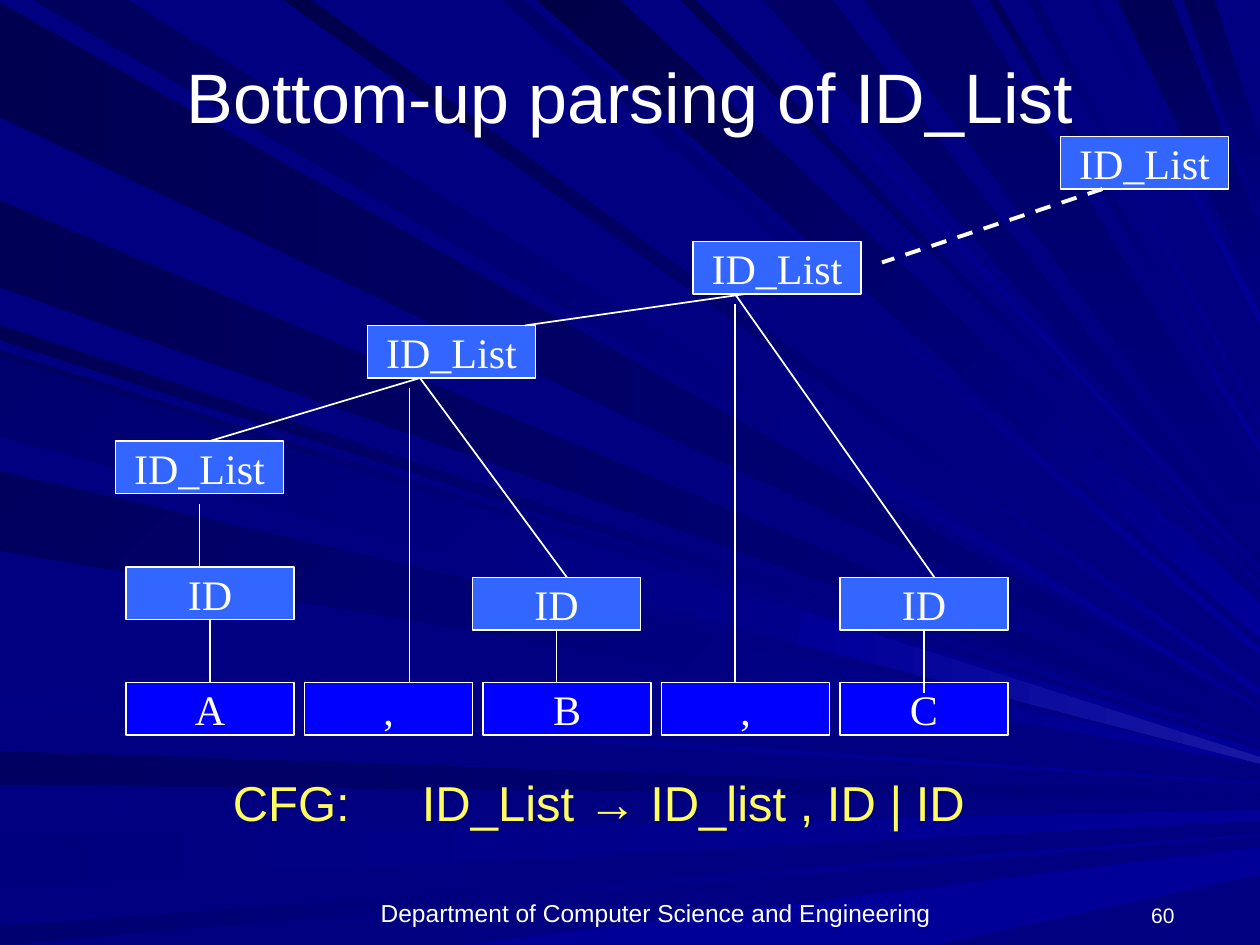
from lxml.etree import SubElement
from pptx import Presentation
from pptx.dml.color import RGBColor
from pptx.enum.dml import MSO_LINE
from pptx.enum.shapes import MSO_CONNECTOR, MSO_SHAPE
from pptx.enum.text import MSO_ANCHOR, PP_ALIGN
from pptx.oxml.ns import qn
from pptx.util import Inches, Pt

COLORS = {"ground": "000080", "bright": "000099", "glow": "1717A2", "node": "3366FF",
          "token": "0000FF", "ink": "FFFFFF", "rule": "FFFD5D"}
WIDTH, HEIGHT = 1000, 750
HUNDREDTH = Inches(1) // 100
CELL = Inches(1) // 12
NODE_W, NODE_H, TOKEN_STEP = 16, 5, 17
FIRST_TOKEN, TOKEN_ROW = 12, 65

BEAMS = [
    ("left", "000051", "ground", 2, 93, 569),
    ("top", "00005D", "bright", 26, 101, 562),
    ("left", "000061", "ground", 596, 623, 631),
    ("left", "00007D", "bright", 665, 704, 643, 8),
    ("left", "00006F", "bright", 735, 750, 662),
    ("bottom", "000099", "bright", 364, 742, 672, 22),
    ("left", "000053", "bright", 258, 270, 589),
    ("left", "000055", "ground", 159, 228, 584),
    ("top", "00006B", "bright", 398, 416, 515, 6),
    ("top", "000047", "bright", 426, 492, 479, 28),
    ("top", "00004F", "bright", 540, 552, 463),
    ("top", "000065", "ground", 606, 661, 445),
    ("top", "000055", "ground", 887, 930, 183, 54),
    ("top", "000059", "ground", 939, 964, 114, 53),
    ("left", "000061", "bright", 278, 342, 596, 6),
    ("left", "00005D", "bright", 374, 437, 605),
    ("left", "000082", "bright", 552, 560, 621),
    ("top", "00004A", "bright", 225, 247, 547, 5),
    ("top", "000082", "bright", 577, 588, 453),
    ("top", "000065", "ground", 686, 770, 390, 38),
    ("top", "000058", "bright", 785, 792, 354, 6),
    ("top", "00006F", "bright", 815, 824, 335),
    ("top", "000079", "bright", 865, 872, 249, 9),
    ("left", "00006F", "bright", 283, 347, 601, 5),
]
GLOW = [(633, 511), (637, 485), (WIDTH, 601), (WIDTH, 606)]

CAPTIONS = [
    ("Department of Computer Science and Engineering", (1.83, 7.08, 6.75, 0.33),
     14, "ink", PP_ALIGN.CENTER, MSO_ANCHOR.BOTTOM),
    ("60", (8.75, 7.08, 0.67, 0.33), 12, "ink", PP_ALIGN.RIGHT, MSO_ANCHOR.BOTTOM),
    ("Bottom-up parsing of ID_List", (0.5, 0.3, 9, 0.92),
     40, "ink", PP_ALIGN.CENTER, MSO_ANCHOR.MIDDLE),
    ("CFG:\t\tID_List → ID_list , ID | ID", (1.75, 6.08, 6.51, 0.57),
     28, "rule", PP_ALIGN.LEFT, MSO_ANCHOR.TOP, False, 7),
]

NODES = {"ID_List": [(101, 13), (66, 23), (35, 31), (11, 42)],
         "ID": [(12, 54), (45, 55), (80, 55)]}
TOKENS = ["A", ",", "B", ",", "C"]

STEMS = [(53, 60, 65), (20, 59, 65), (19, 48, 54), (39, 37, 65), (70, 29, 65), (88, 60, 66)]
FANS = {(40, 36): [(20, 42), (54, 55)], (71, 28): [(50, 31)], (70, 28): [(89, 55)]}
PENDING_BRANCH = ((105, 18), (84, 25))


def rgb(value):
    return RGBColor.from_string(value)


def add_ray(slide, points, start, end, angle):
    builder = slide.shapes.build_freeform(*points[0], scale=HUNDREDTH)
    builder.add_line_segments(points[1:], close=True)
    ray = builder.convert_to_shape()
    ray.shadow.inherit = False
    ray.line.fill.background()
    ray.fill.gradient()
    ray.fill.gradient_angle = (360 - angle) % 360
    for stop, color in zip(ray.fill.gradient_stops, (start, end)):
        stop.color.rgb = rgb(color)


def add_beam(slide, edge, shade, light, near, far, tip, spread=1):
    upper, lower = (WIDTH, tip), (WIDTH, tip + spread)
    if edge == "left":
        points = [(0, near), (0, far), lower, upper]
        angle = 45 if light == "bright" and far < HEIGHT / 2 + 100 else 0
    elif edge == "top":
        points = [(near, 0), (far, 0), upper, lower]
        angle = 45 if light == "bright" else 90
    else:
        points = [(near, HEIGHT), (far, HEIGHT), lower, upper]
        angle = 0
    add_ray(slide, points, shade, COLORS[light], angle)


def write(frame, text, size, font, color, align, anchor, wrap=True, before=0):
    frame.word_wrap = wrap
    frame.vertical_anchor = anchor
    paragraph = frame.paragraphs[0]
    paragraph.alignment = align
    paragraph.space_before = Pt(before)
    run = paragraph.add_run()
    run.text = text
    run.font.size = Pt(size)
    run.font.name = font
    run.font.color.rgb = rgb(COLORS[color])


def add_node(slide, joints, text, column, row, color):
    node = slide.shapes.add_shape(MSO_SHAPE.RECTANGLE, column * CELL, row * CELL,
                                  NODE_W * CELL, NODE_H * CELL)
    node.shadow.inherit = False
    node.fill.solid()
    node.fill.fore_color.rgb = rgb(COLORS[color])
    node.line.color.rgb = rgb(COLORS["ink"])
    node.line.width = Pt(1)
    write(node.text_frame, text, 24, "Times New Roman", "ink",
          PP_ALIGN.CENTER, MSO_ANCHOR.MIDDLE, False)
    middle = column + NODE_W // 2
    joints[middle, row] = (node, 0)
    joints[middle, row + NODE_H] = (node, 2)


def add_branch(slide, joints, start, end, width=1):
    branch = slide.shapes.add_connector(MSO_CONNECTOR.STRAIGHT,
                                        *(CELL * value for value in start + end))
    branch.line.color.rgb = rgb(COLORS["ink"])
    branch.line.width = Pt(width)
    SubElement(branch._element.spPr, qn("a:effectLst"))
    if start in joints:
        branch.begin_connect(*joints[start])
    if end in joints:
        branch.end_connect(*joints[end])
    return branch


def main():
    deck = Presentation()
    deck.slide_width, deck.slide_height = WIDTH * HUNDREDTH, HEIGHT * HUNDREDTH
    slide = deck.slides.add_slide(deck.slide_layouts[6])
    slide.background.fill.solid()
    slide.background.fill.fore_color.rgb = rgb(COLORS["ground"])

    for beam in BEAMS:
        add_beam(slide, *beam)
    add_ray(slide, GLOW, COLORS["bright"], COLORS["glow"], 0)

    for text, place, size, *style in CAPTIONS:
        caption = slide.shapes.add_textbox(*map(Inches, place))
        write(caption.text_frame, text, size, "Arial", *style)

    joints = {}
    for text, places in NODES.items():
        for column, row in places:
            add_node(slide, joints, text, column, row, "node")
    for index, text in enumerate(TOKENS):
        add_node(slide, joints, text, FIRST_TOKEN + index * TOKEN_STEP, TOKEN_ROW, "token")

    for column, top, bottom in STEMS:
        add_branch(slide, joints, (column, top), (column, bottom))
    for apex, ends in FANS.items():
        for end in ends:
            add_branch(slide, joints, apex, end)
    pending = add_branch(slide, joints, *PENDING_BRANCH, width=2.25)
    pending.line.dash_style = MSO_LINE.DASH

    deck.save("out.pptx")


if __name__ == "__main__":
    main()
